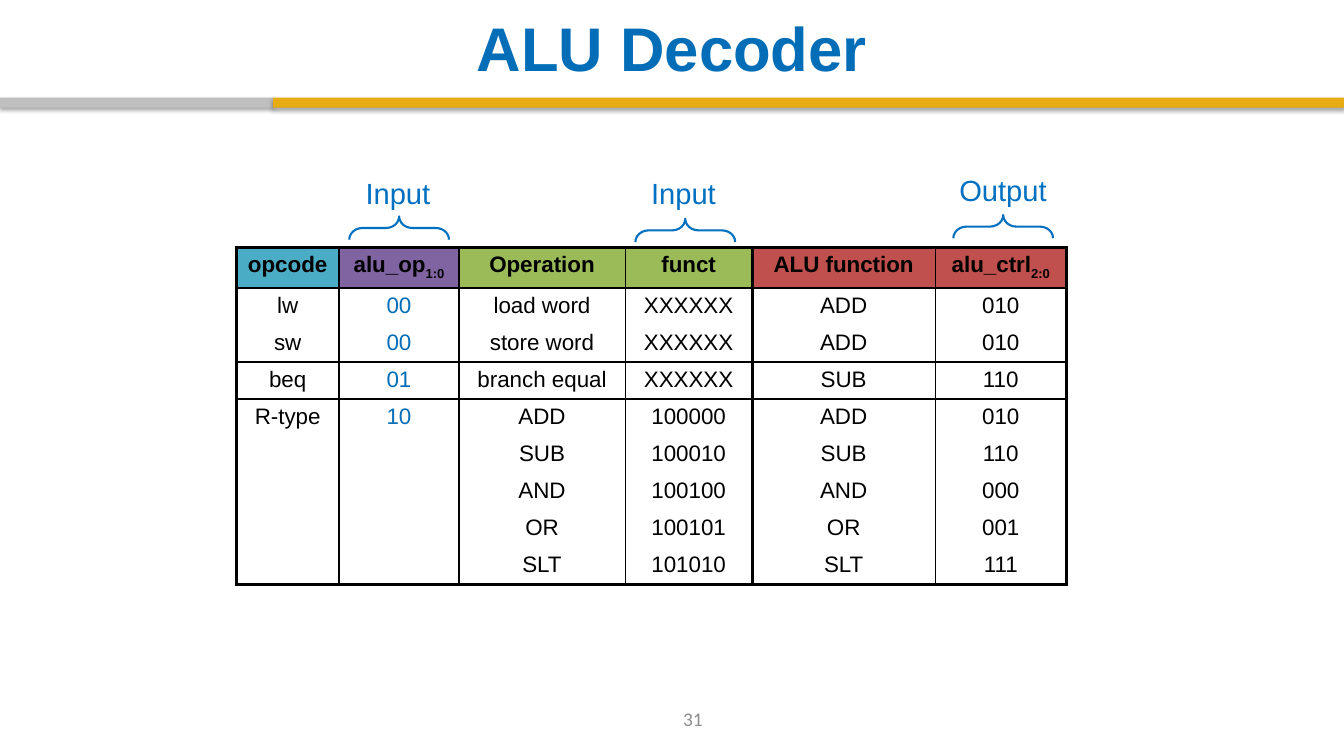
from lxml import etree
from pptx import Presentation
from pptx.dml.color import RGBColor
from pptx.enum.shapes import MSO_SHAPE as Shape
from pptx.enum.text import MSO_ANCHOR as Anchor, MSO_AUTO_SIZE as AutoSize, PP_ALIGN as Align
from pptx.oxml.ns import qn
from pptx.util import Pt

BLUE, BRACE_BLUE, GOLD = "036DB7", "0070C0", "E7AC11"
BLACK, WHITE = "000000", "FFFFFF"

COLUMN_WIDTHS = [73.4, 85.6, 118.8, 90.7, 130.8, 93.6]
ROW_HEIGHT = 26.5
HEADER_FILLS = ["4BACC6", "8064A2", "9BBB59", "9BBB59", "C0504D", "C0504D"]
# Each header is a name and its subscript
HEADERS = [("opcode", ""), ("alu_op", "1:0"), ("Operation", ""),
           ("funct", ""), ("ALU function", ""), ("alu_ctrl", "2:0")]
ROWS = [
    ["lw", "00", "load word", "XXXXXX", "ADD", "010"],
    ["sw", "00", "store word", "XXXXXX", "ADD", "010"],
    ["beq", "01", "branch equal", "XXXXXX", "SUB", "110"],
    ["R-type", "10", "ADD", "100000", "ADD", "010"],
    ["", "", "SUB", "100010", "SUB", "110"],
    ["", "", "AND", "100100", "AND", "000"],
    ["", "", "OR", "100101", "OR", "001"],
    ["", "", "SLT", "101010", "SLT", "111"],
]
R_TYPE_ROW = 4
RULED_EDGES = {0, 1, 3, 4, 9}  # horizontal table edges that carry a line
THIN_EDGES = {3, 5}            # vertical table edges with a thin line


def color(value):
    return RGBColor.from_string(value)


def add_run(paragraph, text, size, font_color, font="Arial", bold=False):
    run = paragraph.add_run()
    run.text = text
    run.font.name, run.font.size, run.font.bold = font, Pt(size), bold
    run.font.color.rgb = color(font_color)
    return run


def add_label(slide, text, left, top, width):
    shape = slide.shapes.add_textbox(Pt(left), Pt(top), Pt(width), Pt(32.4))
    frame = shape.text_frame
    frame.word_wrap = False
    frame.auto_size = AutoSize.SHAPE_TO_FIT_TEXT
    add_run(frame.paragraphs[0], text, 20.8, BRACE_BLUE)


def add_title(slide, text):
    title = slide.shapes.title
    title.left, title.top, title.width, title.height = Pt(48), Pt(5.8), Pt(864), Pt(54.7)
    frame = title.text_frame
    frame.auto_size = AutoSize.NONE
    frame.vertical_anchor = Anchor.MIDDLE
    frame.paragraphs[0].alignment = Align.CENTER
    add_run(frame.paragraphs[0], text, 44, BLUE, bold=True)


def add_bar(slide, left, width, fill):
    bar = slide.shapes.add_shape(Shape.RECTANGLE, Pt(left), Pt(69.8), Pt(width), Pt(7.2))
    bar.fill.solid()
    bar.fill.fore_color.rgb = color(fill)
    bar.line.fill.background()
    # Soft shadow straight down
    effects = etree.SubElement(bar.element.spPr, qn("a:effectLst"))
    shadow = etree.SubElement(effects, qn("a:outerShdw"), blurRad=str(Pt(3.1)),
                              dist=str(Pt(1.8)), dir="5400000", rotWithShape="0")
    shade = etree.SubElement(shadow, qn("a:srgbClr"), val=BLACK)
    etree.SubElement(shade, qn("a:alpha"), val="35000")


def add_brace(slide, left, top):
    brace = slide.shapes.add_shape(Shape.RIGHT_BRACE, Pt(left), Pt(top), Pt(16.6), Pt(71.3))
    brace.rotation = 270
    brace.adjustments[0] = 0.567
    brace.shadow.inherit = False
    brace.fill.background()
    brace.line.color.rgb = color(BRACE_BLUE)
    brace.line.width = Pt(1.5)


def set_borders(cell, widths):
    properties = cell._tc.get_or_add_tcPr()
    for index, (side, width) in enumerate(widths.items()):
        line = etree.Element(qn(f"a:ln{side}"), w=str(Pt(width)))
        if width:
            fill = etree.SubElement(line, qn("a:solidFill"))
            etree.SubElement(fill, qn("a:srgbClr"), val=BLACK)
        else:
            etree.SubElement(line, qn("a:noFill"))
        properties.insert(index, line)


def style_cell(cell, row, column):
    cell.fill.solid()
    cell.fill.fore_color.rgb = color(WHITE if row else HEADER_FILLS[column])
    cell.margin_left = cell.margin_right = Pt(4)
    bottom_edge = row + (cell.span_height if cell.is_merge_origin else 1)
    set_borders(cell, {
        "L": 1 if column in THIN_EDGES else 2.25,
        "R": 1 if column + 1 in THIN_EDGES else 2.25,
        "T": 2.25 if row in RULED_EDGES else 0,
        "B": 2.25 if bottom_edge in RULED_EDGES else 0,
    })


def add_decoder_table(slide):
    row_count, column_count = len(ROWS) + 1, len(HEADERS)
    table = slide.shapes.add_table(
        row_count, column_count, Pt(168.8), Pt(176.6),
        Pt(sum(COLUMN_WIDTHS)), Pt(ROW_HEIGHT * row_count)).table
    table.first_row = table.horz_banding = False
    for column, width in zip(table.columns, COLUMN_WIDTHS):
        column.width = Pt(width)
    for row in table.rows:
        row.height = Pt(ROW_HEIGHT)
    for column in (0, 1):
        table.cell(R_TYPE_ROW, column).merge(table.cell(row_count - 1, column))

    for row in range(row_count):
        for column in range(column_count):
            cell = table.cell(row, column)
            style_cell(cell, row, column)
            if cell.is_spanned:
                continue
            paragraph = cell.text_frame.paragraphs[0]
            paragraph.alignment = Align.CENTER
            if row:
                text_color = BLUE if column == 1 else BLACK
                add_run(paragraph, ROWS[row - 1][column], 16, text_color)
                continue
            name, subscript = HEADERS[column]
            add_run(paragraph, name, 16, BLACK, bold=True)
            if subscript:
                run = add_run(paragraph, subscript, 16, BLACK, bold=True)
                run.font._element.set("baseline", "-25000")


def add_page_number(slide, number):
    shape = slide.shapes.add_textbox(Pt(383), Pt(499), Pt(224), Pt(28.8))
    frame = shape.text_frame
    frame.word_wrap = True
    frame.vertical_anchor = Anchor.MIDDLE
    frame.paragraphs[0].alignment = Align.CENTER
    add_run(frame.paragraphs[0], number, 13.8, "8C8C8C", "Calibri")


def main():
    presentation = Presentation()
    presentation.slide_width, presentation.slide_height = Pt(960), Pt(540)
    slide = presentation.slides.add_slide(presentation.slide_layouts[5])

    # Heading and page number
    add_bar(slide, 0, 195.1, "BFBFBF")
    add_bar(slide, 195.1, 764.9, GOLD)
    add_title(slide, "ALU Decoder")
    add_page_number(slide, "31")

    # Decoder table with braces over its signals
    add_decoder_table(slide)
    for text, left, top, width, brace_left, brace_top in [
        ("Input", 254, 122, 61.2, 276.8, 127.2),
        ("Input", 458, 122, 61.2, 481.2, 128.9),
        ("Output", 678.2, 119.9, 77, 708.3, 126.2),
    ]:
        add_brace(slide, brace_left, brace_top)
        add_label(slide, text, left, top, width)

    presentation.save("out.pptx")


if __name__ == "__main__":
    main()
